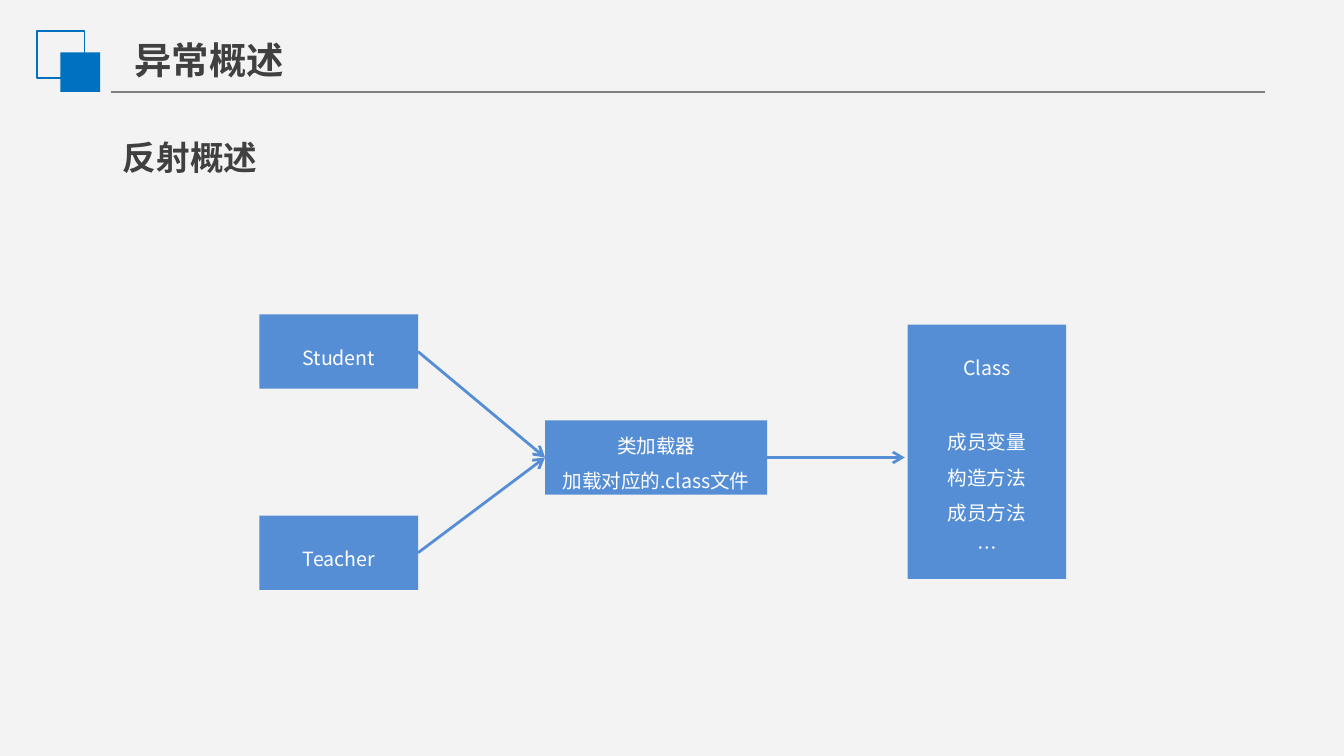
from dataclasses import dataclass

from lxml import etree
from pptx import Presentation
from pptx.dml.color import RGBColor
from pptx.enum.shapes import MSO_CONNECTOR, MSO_SHAPE
from pptx.enum.text import MSO_ANCHOR, MSO_AUTO_SIZE, PP_ALIGN
from pptx.oxml.ns import qn
from pptx.util import Pt

RECTANGLE = MSO_SHAPE.RECTANGLE
STRAIGHT = MSO_CONNECTOR.STRAIGHT
MIDDLE, TOP = MSO_ANCHOR.MIDDLE, MSO_ANCHOR.TOP
CENTER, LEFT = PP_ALIGN.CENTER, PP_ALIGN.LEFT
FIT_SHAPE = MSO_AUTO_SIZE.SHAPE_TO_FIT_TEXT

BACKGROUND = RGBColor(0xF3, 0xF3, 0xF3)
ACCENT = RGBColor(0x00, 0x70, 0xC0)
BLOCK_BLUE = RGBColor(0x55, 0x8E, 0xD5)
RULE_GRAY = RGBColor(0x80, 0x80, 0x80)
HEADING_GRAY = RGBColor(0x40, 0x40, 0x40)
WHITE = RGBColor(0xFF, 0xFF, 0xFF)
FONT = "Noto Sans CJK SC"

LEFT_SIDE, RIGHT_SIDE = 1, 3
SIDE_INSET = 3.6


@dataclass(frozen=True)
class Block:
    text: str
    left: float
    top: float
    width: float = 85
    height: float = 39.8


STUDENT = Block("Student", 139, 168.5)
TEACHER = Block("Teacher", 139, 276.2)
LOADER = Block("类加载器\n加载对应的.class文件", 292, 225.2, 119)
CLASS_NAME = Block("Class", 486.2, 174)
CLASS_MEMBERS = Block("成员变量\n构造方法\n成员方法\n…", 486.2, 213.8, height=96.4)


def format_text(frame, size: float, color: RGBColor, align, spacing: float = 1.5, bold: bool = False) -> None:
    for paragraph in frame.paragraphs:
        paragraph.alignment = align
        paragraph.line_spacing = spacing
        for run in paragraph.runs:
            font = run.font
            font.size, font.bold, font.name = Pt(size), bold, FONT
            font.color.rgb = color
            east_asian = etree.SubElement(font._element, qn("a:ea"))
            east_asian.set("typeface", FONT)


def format_heading(heading, text: str, size: float, spacing: float) -> None:
    frame = heading.text_frame
    frame.text = text
    frame.word_wrap = False
    frame.auto_size = FIT_SHAPE
    frame.vertical_anchor = TOP
    format_text(frame, size, HEADING_GRAY, LEFT, spacing, bold=True)


def add_square(shapes, left: float, top: float, side: float):
    square = shapes.add_shape(RECTANGLE, Pt(left), Pt(top), Pt(side), Pt(side))
    square.shadow.inherit = False
    return square


def add_block(shapes, block: Block):
    box = shapes.add_shape(RECTANGLE, Pt(block.left), Pt(block.top), Pt(block.width), Pt(block.height))
    box.shadow.inherit = False
    box.fill.solid()
    box.fill.fore_color.rgb = BLOCK_BLUE
    box.line.fill.background()
    frame = box.text_frame
    frame.text = block.text
    frame.word_wrap = True
    frame.margin_left = frame.margin_right = Pt(SIDE_INSET)
    frame.vertical_anchor = MIDDLE
    format_text(frame, 10.5, WHITE, CENTER)
    return box


def add_line(shapes, start: tuple[float, float], end: tuple[float, float], color: RGBColor, width: float):
    line = shapes.add_connector(STRAIGHT, Pt(start[0]), Pt(start[1]), Pt(end[0]), Pt(end[1]))
    line.line.color.rgb = color
    line.line.width = Pt(width)
    etree.SubElement(line._element.spPr, qn("a:effectLst"))
    return line


def add_arrow(shapes, source: Block, source_box, end: tuple[float, float]):
    """Draw an arrow from the right side of a block."""
    start = source.left + source.width, source.top + source.height / 2
    arrow = add_line(shapes, start, end, BLOCK_BLUE, 1.5)
    etree.SubElement(arrow.line._get_or_add_ln(), qn("a:tailEnd"), type="arrow")
    arrow.begin_connect(source_box, RIGHT_SIDE)
    return arrow


def main() -> None:
    prs = Presentation()
    prs.slide_width, prs.slide_height = Pt(720), Pt(405)
    slide = prs.slides.add_slide(prs.slide_layouts[5])
    slide.background.fill.solid()
    slide.background.fill.fore_color.rgb = BACKGROUND
    shapes = slide.shapes

    title = shapes.title
    title.left, title.top, title.width, title.height = Pt(64.8), Pt(16.4), Pt(95), Pt(31.5)
    format_heading(title, "异常概述", 20, 1)

    add_line(shapes, (59.5, 49.3), (677.6, 49.3), RULE_GRAY, 0.75)
    outlined_square = add_square(shapes, 19.9, 16.4, 25.4)
    outlined_square.fill.background()
    outlined_square.line.color.rgb = ACCENT
    outlined_square.line.width = Pt(1)
    filled_square = add_square(shapes, 32.4, 28, 21.3)
    filled_square.fill.solid()
    filled_square.fill.fore_color.rgb = ACCENT
    filled_square.line.fill.background()

    subtitle = shapes.add_textbox(Pt(58.8), Pt(59), Pt(87), Pt(40.3))
    format_heading(subtitle, "反射概述", 18, 1.5)

    loader_box = add_block(shapes, LOADER)
    loader_middle = LOADER.top + LOADER.height / 2
    for source in (STUDENT, TEACHER):
        arrow = add_arrow(shapes, source, add_block(shapes, source), (LOADER.left, loader_middle))
        arrow.end_connect(loader_box, LEFT_SIDE)
    for block in (CLASS_NAME, CLASS_MEMBERS):
        add_block(shapes, block)
    add_arrow(shapes, LOADER, loader_box, (CLASS_NAME.left - 1.5, loader_middle))

    prs.save("out.pptx")


if __name__ == "__main__":
    main()
